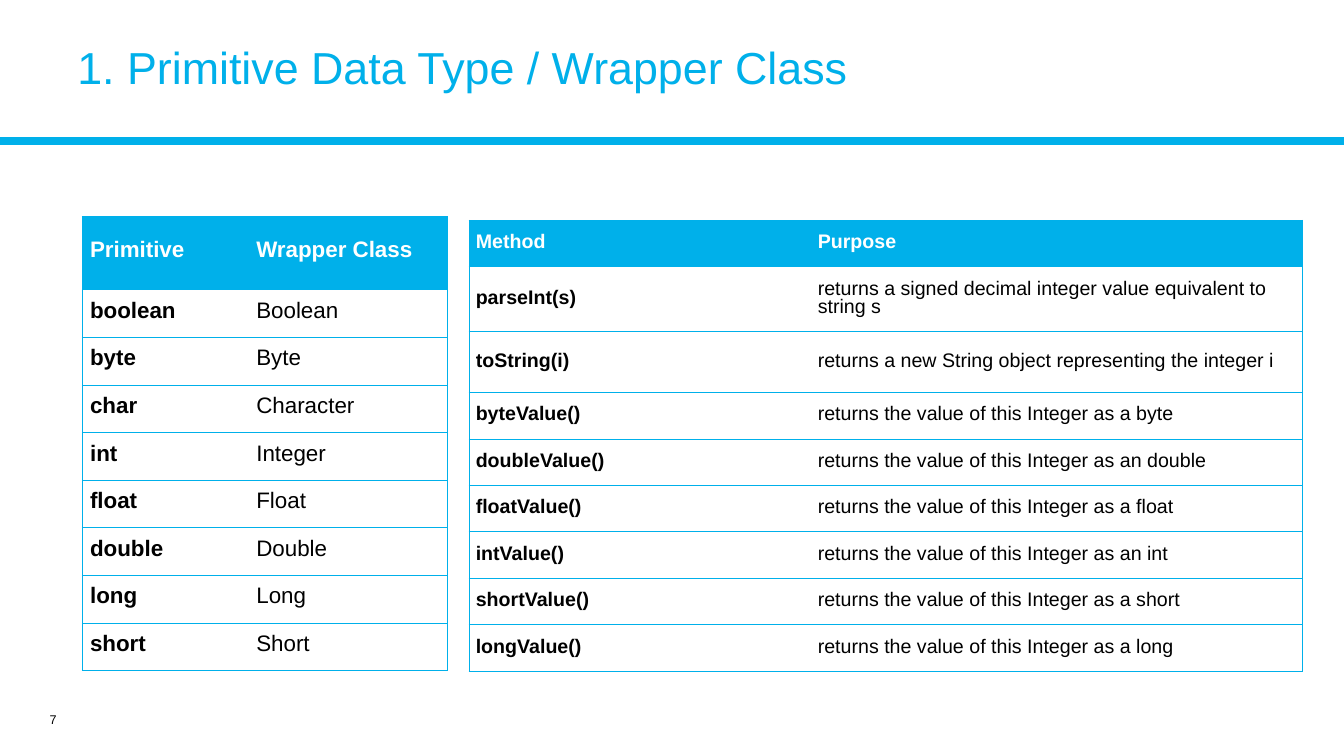
from lxml import etree
from pptx import Presentation
from pptx.dml.color import RGBColor
from pptx.enum.shapes import MSO_CONNECTOR
from pptx.enum.text import MSO_ANCHOR, PP_ALIGN
from pptx.oxml.ns import qn
from pptx.util import Cm, Pt

STRAIGHT = MSO_CONNECTOR.STRAIGHT
MIDDLE = MSO_ANCHOR.MIDDLE
LEFT, RIGHT = PP_ALIGN.LEFT, PP_ALIGN.RIGHT

COLORS = {"accent": "00B0EA", "text": "000000", "paper": "FFFFFF"}
FONT = "Arial"
PAGE_WIDTH, PAGE_HEIGHT = 33.87, 19.05
RULE_TOP = 3.55
BORDER_WIDTH = 0.5

TITLE = "1. Primitive Data Type / Wrapper Class"
PAGE_NUMBER = "7"

WRAPPERS = [
    ("Primitive", "Wrapper Class"),
    ("boolean", "Boolean"),
    ("byte", "Byte"),
    ("char", "Character"),
    ("int", "Integer"),
    ("float", "Float"),
    ("double", "Double"),
    ("long", "Long"),
    ("short", "Short"),
]
METHODS = [
    ("Method", "Purpose"),
    ("parseInt(s)", "returns a signed decimal integer value equivalent to string s"),
    ("toString(i)", "returns a new String object representing the integer i"),
    ("byteValue()", "returns the value of this Integer as a byte"),
    ("doubleValue()", "returns the value of this Integer as an double"),
    ("floatValue()", "returns the value of this Integer as a float"),
    ("intValue()", "returns the value of this Integer as an int"),
    ("shortValue()", "returns the value of this Integer as a short"),
    ("longValue()", "returns the value of this Integer as a long"),
]

# Lengths in centimetres, text sizes in points
TABLES = [
    {"rows": WRAPPERS, "left": 2.07, "top": 5.46, "widths": [4.19, 5.01],
     "heights": [1.84] + [1.2] * 8, "inset": 0.2, "size": 16},
    {"rows": METHODS, "left": 11.82, "top": 5.55, "widths": [8.62, 12.38],
     "heights": [1.17, 1.64, 1.53] + [1.17] * 6, "inset": 0.17, "size": 14},
]


def rgb(name):
    return RGBColor.from_string(COLORS[name])


def style(para, size, color, bold=False):
    font = para.font
    font.name, font.size, font.bold = FONT, Pt(size), bold
    font.color.rgb = rgb(color)


def add_text(page, text, place, size, color, align=LEFT, spacing=1.0):
    frame = page.shapes.add_textbox(*map(Cm, place)).text_frame
    frame.word_wrap = True
    frame.vertical_anchor = MIDDLE
    para = frame.paragraphs[0]
    para.text = text
    para.alignment = align
    para.line_spacing = spacing
    style(para, size, color)


def add_rule(page):
    rule = page.shapes.add_connector(
        STRAIGHT, Cm(0), Cm(RULE_TOP), Cm(PAGE_WIDTH), Cm(RULE_TOP))
    rule.line.color.rgb = rgb("accent")
    rule.line.width = Pt(6)
    etree.SubElement(rule._element.spPr, qn("a:effectLst"))


def set_borders(cell, visible):
    """Draw the sides named in visible (of L, R, T, B) and clear the others."""
    properties = cell._tc.get_or_add_tcPr()
    for side in "LRTB":
        line = etree.SubElement(properties, qn(f"a:ln{side}"), w=str(Pt(BORDER_WIDTH)))
        if side in visible:
            fill = etree.SubElement(line, qn("a:solidFill"))
            etree.SubElement(fill, qn("a:srgbClr"), val=COLORS["accent"])
        else:
            etree.SubElement(line, qn("a:noFill"))


def fill_cell(cell, text, inset, size, is_header, is_first):
    set_borders(cell, "LTB" if is_first else "RTB")
    cell.fill.solid()
    cell.fill.fore_color.rgb = rgb("accent" if is_header else "paper")
    cell.margin_left = cell.margin_right = Cm(inset)
    cell.margin_top = cell.margin_bottom = Cm(inset)
    cell.vertical_anchor = MIDDLE
    para = cell.text_frame.paragraphs[0]
    para.text = text
    para.line_spacing = Pt(13.5)
    style(para, size, "paper" if is_header else "text", is_header or is_first)


def add_grid(page, rows, left, top, widths, heights, inset, size):
    table = page.shapes.add_table(
        len(rows), len(widths), Cm(left), Cm(top),
        Cm(sum(widths)), Cm(sum(heights))).table
    table.horz_banding = False
    for column, width in zip(table.columns, widths):
        column.width = Cm(width)
    for row, height in zip(table.rows, heights):
        row.height = Cm(height)
    for r, texts in enumerate(rows):
        for c, text in enumerate(texts):
            fill_cell(table.cell(r, c), text, inset, size, r == 0, c == 0)


def main():
    deck = Presentation()
    deck.slide_width, deck.slide_height = Cm(PAGE_WIDTH), Cm(PAGE_HEIGHT)
    page = deck.slides.add_slide(deck.slide_layouts[6])
    add_rule(page)
    add_text(page, TITLE, (1.7, 0.36, 30.53, 2.82), 32, "accent", spacing=0.9)
    add_text(page, PAGE_NUMBER, (0.23, 17.75, 1.45, 0.76), 9, "text", RIGHT)
    for grid in TABLES:
        add_grid(page, **grid)
    deck.save("out.pptx")


if __name__ == "__main__":
    main()
